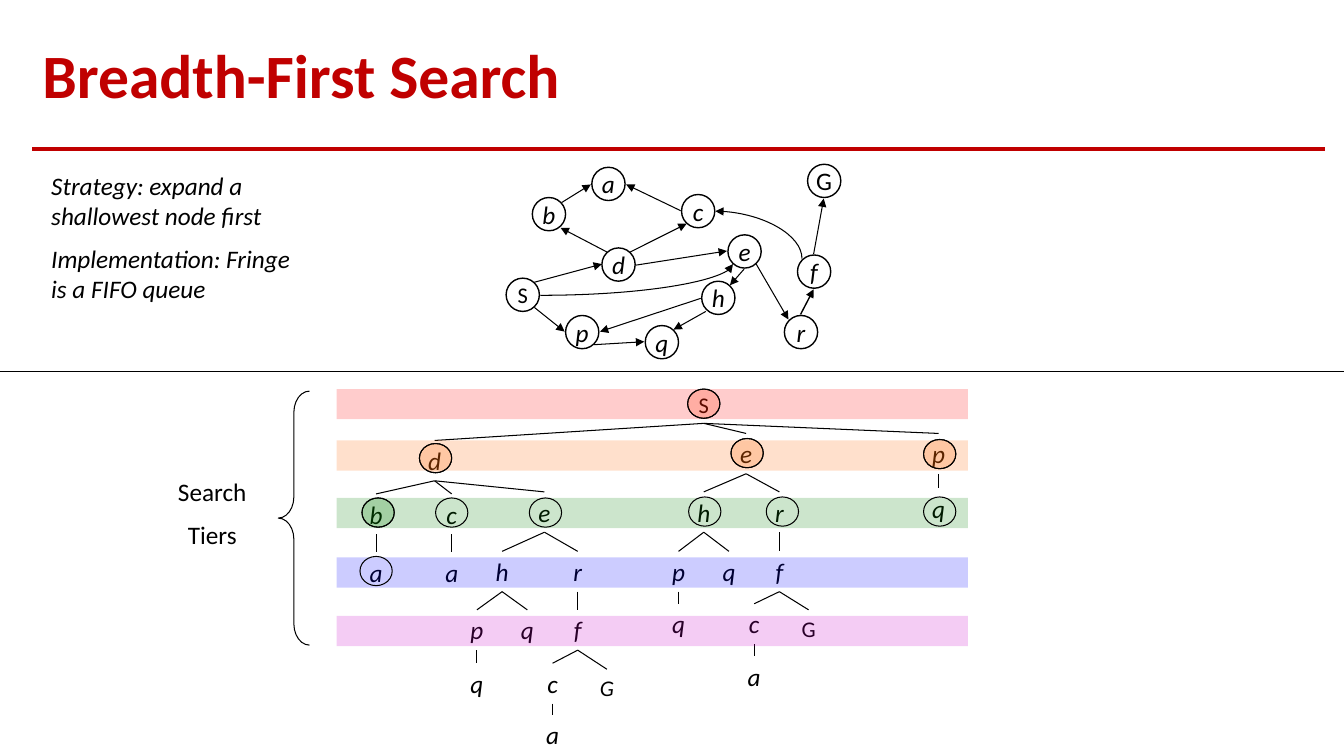
from pptx import Presentation
from pptx.dml.color import RGBColor
from pptx.enum.shapes import MSO_CONNECTOR, MSO_SHAPE
from pptx.enum.text import MSO_ANCHOR, PP_ALIGN
from pptx.oxml.ns import qn
from pptx.util import Inches, Pt
from lxml.etree import SubElement

BLACK = RGBColor(0x00, 0x00, 0x00)
CRIMSON = RGBColor(0xC0, 0x00, 0x00)
RED = RGBColor(0xFF, 0x00, 0x00)
SCARLET = RGBColor(0xFF, 0x33, 0x00)
ORANGE = RGBColor(0xFF, 0x66, 0x00)
GREEN = RGBColor(0x00, 0x80, 0x00)
BLUE = RGBColor(0x00, 0x00, 0xFF)
PURPLE = RGBColor(0xCC, 0x00, 0xCC)

prs = Presentation()
prs.slide_width, prs.slide_height = Inches(13.33), Inches(7.5)
s = prs.slides.add_slide(prs.slide_layouts[5])


def write(sp, lines, align=PP_ALIGN.CENTER, **font):
    tf = sp.text_frame
    for i, line in enumerate(lines):
        p = tf.paragraphs[0] if i == 0 else tf.add_paragraph()
        p.alignment = align
        p.space_before = Pt(9 if i else 0)
        r = p.add_run()
        r.text = line
        r.font.color.rgb = BLACK
        for name, value in {"name": "Calibri", "size": Pt(18), **font}.items():
            setattr(r.font, name, value)
    return tf


def draw(kind, box, line=None, tint=None, curve=False, arrow=False, color=BLACK):
    lengths = [Inches(v) for v in box]
    if kind is None:
        sp = s.shapes.add_connector(MSO_CONNECTOR.CURVE if curve else MSO_CONNECTOR.STRAIGHT, *lengths)
        SubElement(sp._element.spPr, qn("a:effectLst"))
    else:
        sp = s.shapes.add_shape(kind, *lengths)
        sp.shadow.inherit = False
        if tint is None:
            sp.fill.background()
        else:
            sp.fill.solid()
            sp.fill.fore_color.rgb = tint
            clr = sp._element.spPr.find(qn("a:solidFill"))[0]
            SubElement(clr, qn("a:alpha"), val="20000")
    if line is None:
        sp.line.fill.background()
    else:
        sp.line.color.rgb = color
        sp.line.width = Pt(line)
    if arrow:
        SubElement(sp.line._get_or_add_ln(), qn("a:tailEnd"), type="triangle")
    return sp


title = s.shapes.title
for name, value in {"left": 0.32, "top": 0.28, "width": 12.82, "height": 1}.items():
    setattr(title, name, Inches(value))
tf = write(title, ["Breadth-First Search"], PP_ALIGN.LEFT, size=Pt(44), bold=True)
tf.vertical_anchor = MSO_ANCHOR.MIDDLE
tf.paragraphs[0].line_spacing = 0.9
tf.paragraphs[0].runs[0].font.color.rgb = CRIMSON
draw(None, (0.32, 1.48, 13.14, 1.48), 2.5, color=CRIMSON)

tree = [
    ("S", 6.98, 3.83, None),
    ("d", 4.31, 4.37, 0), ("e", 7.4, 4.3, 0), ("p", 9.31, 4.3, 0),
    ("b", 3.73, 4.9, 1), ("c", 4.48, 4.9, 1), ("e", 5.4, 4.88, 1),
    ("h", 6.98, 4.88, 2), ("r", 7.73, 4.88, 2), ("q", 9.31, 4.84, 3),
    ("a", 3.73, 5.48, 4), ("a", 4.48, 5.48, 5), ("h", 4.98, 5.47, 6), ("r", 5.73, 5.47, 6),
    ("p", 6.73, 5.47, 7), ("q", 7.23, 5.47, 7), ("f", 7.73, 5.47, 8),
    ("p", 4.73, 6.05, 12), ("q", 5.23, 6.05, 12), ("f", 5.73, 6.05, 13),
    ("q", 6.73, 5.99, 14), ("c", 7.48, 5.99, 16), ("G", 8.02, 6.05, 16),
    ("q", 4.73, 6.58, 17), ("c", 5.48, 6.58, 19), ("G", 6.02, 6.64, 19),
    ("a", 7.48, 6.51, 21), ("a", 5.48, 7.09, 24),
]
for label, x, y, parent in tree:
    small = label in "SG"
    sp = s.shapes.add_textbox(Inches(x - 0.21), Inches(y), Inches(0.42), Inches(0.37 if small else 0.4))
    sp.text_frame.word_wrap = True
    write(sp, [label], size=Pt(16 if small else 18), italic=not small or y == 6.64)
    if parent is not None:
        above, px, py, _ = tree[parent]
        draw(None, (px, py + (0.37 if above == "S" else 0.4), x, y), 0.75)

graph = [
    ("S", 5.02, 2.76), ("G", 8.01, 1.63), ("d", 5.97, 2.46), ("b", 5.28, 1.96),
    ("p", 5.61, 3.13), ("q", 6.4, 3.23), ("c", 6.76, 1.93), ("e", 7.22, 2.33),
    ("h", 6.96, 2.79), ("a", 5.87, 1.66), ("f", 7.91, 2.53), ("r", 7.78, 3.13),
]
for label, x, y in graph:
    sp = draw(MSO_SHAPE.FLOWCHART_CONNECTOR, (x, y, 0.33, 0.33), 1)
    tf = write(sp, [label], size=Pt(16 if label == "S" else 18), italic=label not in "SG")
    tf.word_wrap = False
    tf.vertical_anchor = MSO_ANCHOR.MIDDLE

arrows = [
    (5.3, 3.05, 5.6, 3.29), (5.89, 3.42, 6.39, 3.39), (7, 3.09, 6.68, 3.27),
    (6.95, 2.96, 5.95, 3.29), (7.38, 2.67, 7.24, 2.83), (7.5, 2.62, 7.82, 3.17),
    (7.94, 3.12, 8.07, 2.87), (8.07, 2.52, 8.17, 1.97), (5.3, 2.8, 5.97, 2.62),
    (6.02, 2.5, 5.56, 2.26), (5.57, 2.01, 5.86, 1.83), (6.75, 2.09, 6.21, 1.83),
    (6.25, 2.5, 6.81, 2.22), (6.31, 2.63, 7.21, 2.49),
]
for ends in arrows:
    draw(None, ends, 1 if ends[0] == 7.94 else 0.75, arrow=True)
for ends, turn in [((7.76, 1.9, 7.29, 2.76), 90), ((5.36, 2.93, 7.27, 2.62), 0)]:
    spPr = draw(None, ends, 0.75, curve=True, arrow=True)._element.spPr
    spPr.find(qn("a:prstGeom")).set("prst", "curvedConnector2")
    spPr.find(qn("a:xfrm")).set("rot", str(turn * 60000))

for y, tint in [(3.86, RED), (4.37, ORANGE), (4.94, GREEN), (5.53, BLUE), (6.11, PURPLE)]:
    draw(MSO_SHAPE.RECTANGLE, (3.34, y, 6.26, 0.3), tint=tint)
brace = draw(MSO_SHAPE.LEFT_BRACE, (2.76, 3.88, 0.31, 2.52), 0.75)
brace.adjustments[0] = 0.68

rings = [
    (6.82, 3.86, SCARLET), (4.16, 4.4, ORANGE), (7.25, 4.35, ORANGE), (9.16, 4.36, ORANGE),
    (3.59, 4.94, GREEN), (4.32, 4.94, None), (5.25, 4.94, None), (6.83, 4.93, None),
    (7.6, 4.93, None), (9.16, 4.93, None), (3.57, 5.52, None),
]
for x, y, tint in rings:
    for fill in [None, tint] if tint else [None]:
        draw(MSO_SHAPE.OVAL, (x, y, 0.32, 0.29), 0.75, fill)
draw(None, (0, 3.69, 13.33, 3.69), 0.75)

notes = [
    ((1.58, 4.68, 1.05, 0.86), ["Search", "Tiers"], PP_ALIGN.CENTER, False),
    ((0.41, 1.64, 2.59, 1.46),
     ["Strategy: expand a shallowest node first", "Implementation: Fringe is a FIFO queue"],
     PP_ALIGN.LEFT, True),
]
for box, lines, align, italic in notes:
    sp = s.shapes.add_textbox(*[Inches(v) for v in box])
    sp.text_frame.word_wrap = True
    write(sp, lines, align, italic=italic)

prs.save("out.pptx")
